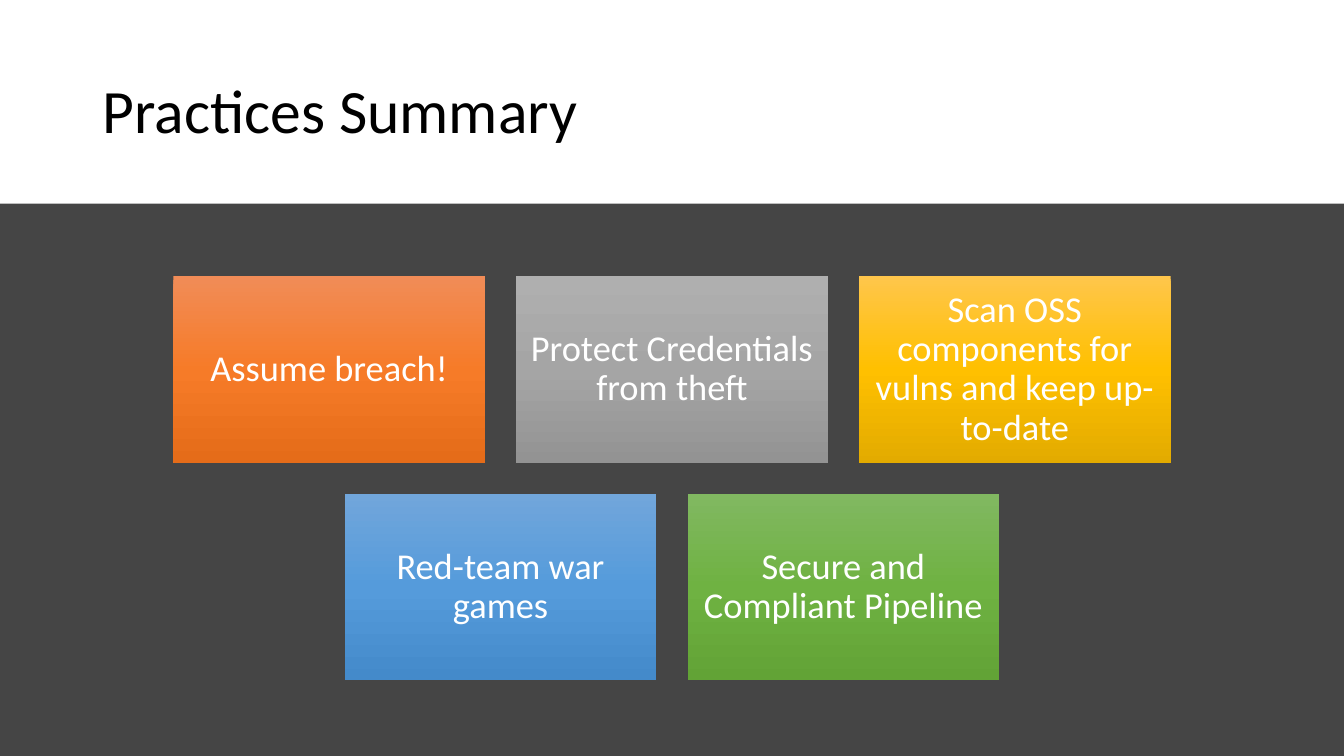
"""Build the Practices Summary slide: a title band above two centred rows of tiles."""
from copy import deepcopy
from typing import Any, NamedTuple

from pptx import Presentation
from pptx.dml.color import RGBColor
from pptx.enum.shapes import MSO_SHAPE
from pptx.enum.text import MSO_ANCHOR, PP_ALIGN
from pptx.oxml.ns import qn
from pptx.util import Inches, Pt

RECTANGLE = MSO_SHAPE.RECTANGLE
MIDDLE = MSO_ANCHOR.MIDDLE
LEFT, CENTER = PP_ALIGN.LEFT, PP_ALIGN.CENTER

WHITE = RGBColor(0xFF, 0xFF, 0xFF)
BLACK = RGBColor(0x00, 0x00, 0x00)
CHARCOAL = RGBColor(0x45, 0x45, 0x45)
ORANGE = (RGBColor(0xF1, 0x8C, 0x57), RGBColor(0xF6, 0x7B, 0x28), RGBColor(0xE5, 0x6C, 0x19))
GRAY = (RGBColor(0xAF, 0xAF, 0xAF), RGBColor(0xA5, 0xA5, 0xA5), RGBColor(0x93, 0x93, 0x93))
GOLD = (RGBColor(0xFF, 0xC6, 0x4B), RGBColor(0xFF, 0xC0, 0x00), RGBColor(0xE3, 0xAB, 0x00))
BLUE = (RGBColor(0x71, 0xA6, 0xDB), RGBColor(0x55, 0x9B, 0xDB), RGBColor(0x44, 0x8A, 0xCA))
GREEN = (RGBColor(0x81, 0xB8, 0x61), RGBColor(0x6F, 0xB2, 0x42), RGBColor(0x62, 0xA3, 0x36))

SLIDE_WIDTH, SLIDE_HEIGHT = 13.33, 7.5
TILE_WIDTH, TILE_HEIGHT, TILE_GAP = 3.09, 1.85, 0.31
TILES_TOP = 2.74

TITLE_FRAME = {"word_wrap": True, "vertical_anchor": MIDDLE}
TILE_FRAME = TITLE_FRAME | {
    f"margin_{side}": Inches(0.11) for side in ("left", "top", "right", "bottom")
}
TITLE_FONT = {"name": "Calibri", "size": Pt(44)}
TILE_FONT = {"name": "Calibri", "size": Pt(26)}


class Tile(NamedTuple):
    """One practice and its gradient from top to bottom."""

    text: str
    colors: tuple[RGBColor, RGBColor, RGBColor]


TILE_ROWS = [
    [
        Tile("Assume breach!", ORANGE),
        Tile("Protect Credentials from theft", GRAY),
        Tile("Scan OSS components for vulns and keep up-to-date", GOLD),
    ],
    [
        Tile("Red-team war games", BLUE),
        Tile("Secure and Compliant Pipeline", GREEN),
    ],
]


def set_all(target: Any, values: dict[str, Any]) -> None:
    """Set each named attribute on the target."""
    for name, value in values.items():
        setattr(target, name, value)


def write_text(box: Any, text: str, frame_format: dict[str, Any],
               font_format: dict[str, Any], color: RGBColor, alignment: PP_ALIGN) -> None:
    """Put one formatted paragraph in a box."""
    set_all(box.text_frame, frame_format)
    para = box.text_frame.paragraphs[0]
    set_all(para, {"alignment": alignment, "line_spacing": 0.9})
    span = para.add_run()
    span.text = text
    set_all(span.font, font_format)
    span.font.color.rgb = color


def add_rectangle(page: Any, left: float, top: float, width: float, height: float) -> Any:
    """Add a rectangle without line or shadow."""
    box = page.shapes.add_shape(
        RECTANGLE, Inches(left), Inches(top), Inches(width), Inches(height))
    box.shadow.inherit = False
    box.line.fill.background()
    return box


def fill_gradient(box: Any, colors: tuple[RGBColor, ...]) -> None:
    """Fill a box with evenly spaced colors from top to bottom."""
    box.fill.gradient()
    box.fill.gradient_angle = 270
    stop_list = box._element.spPr.find(f".//{qn('a:gsLst')}")
    while len(stop_list) < len(colors):
        stop_list.append(deepcopy(stop_list[-1]))
    for index, (stop, color) in enumerate(zip(box.fill.gradient_stops, colors)):
        stop.position = index / (len(colors) - 1)
        stop.color.rgb = color


def add_tile_row(page: Any, tiles: list[Tile], top: float) -> None:
    """Draw a row of tiles centred across the slide."""
    pitch = TILE_WIDTH + TILE_GAP
    row_left = (SLIDE_WIDTH - len(tiles) * pitch + TILE_GAP) / 2
    for column, tile in enumerate(tiles):
        box = add_rectangle(page, row_left + column * pitch, top, TILE_WIDTH, TILE_HEIGHT)
        fill_gradient(box, tile.colors)
        write_text(box, tile.text, TILE_FRAME, TILE_FONT, WHITE, CENTER)


def main() -> None:
    """Build and save the deck."""
    deck = Presentation()
    deck.slide_width, deck.slide_height = Inches(SLIDE_WIDTH), Inches(SLIDE_HEIGHT)
    page = deck.slides.add_slide(deck.slide_layouts[6])
    page.background.fill.solid()
    page.background.fill.fore_color.rgb = CHARCOAL

    band = add_rectangle(page, 0, -0.01, SLIDE_WIDTH, 2.03)
    band.fill.solid()
    band.fill.fore_color.rgb = WHITE
    title = page.shapes.add_textbox(Inches(0.92), Inches(0.4), Inches(11.5), Inches(1.45))
    write_text(title, "Practices Summary", TITLE_FRAME, TITLE_FONT, BLACK, LEFT)

    for row, tiles in enumerate(TILE_ROWS):
        add_tile_row(page, tiles, TILES_TOP + row * (TILE_HEIGHT + TILE_GAP))
    deck.save("out.pptx")


if __name__ == "__main__":
    main()
